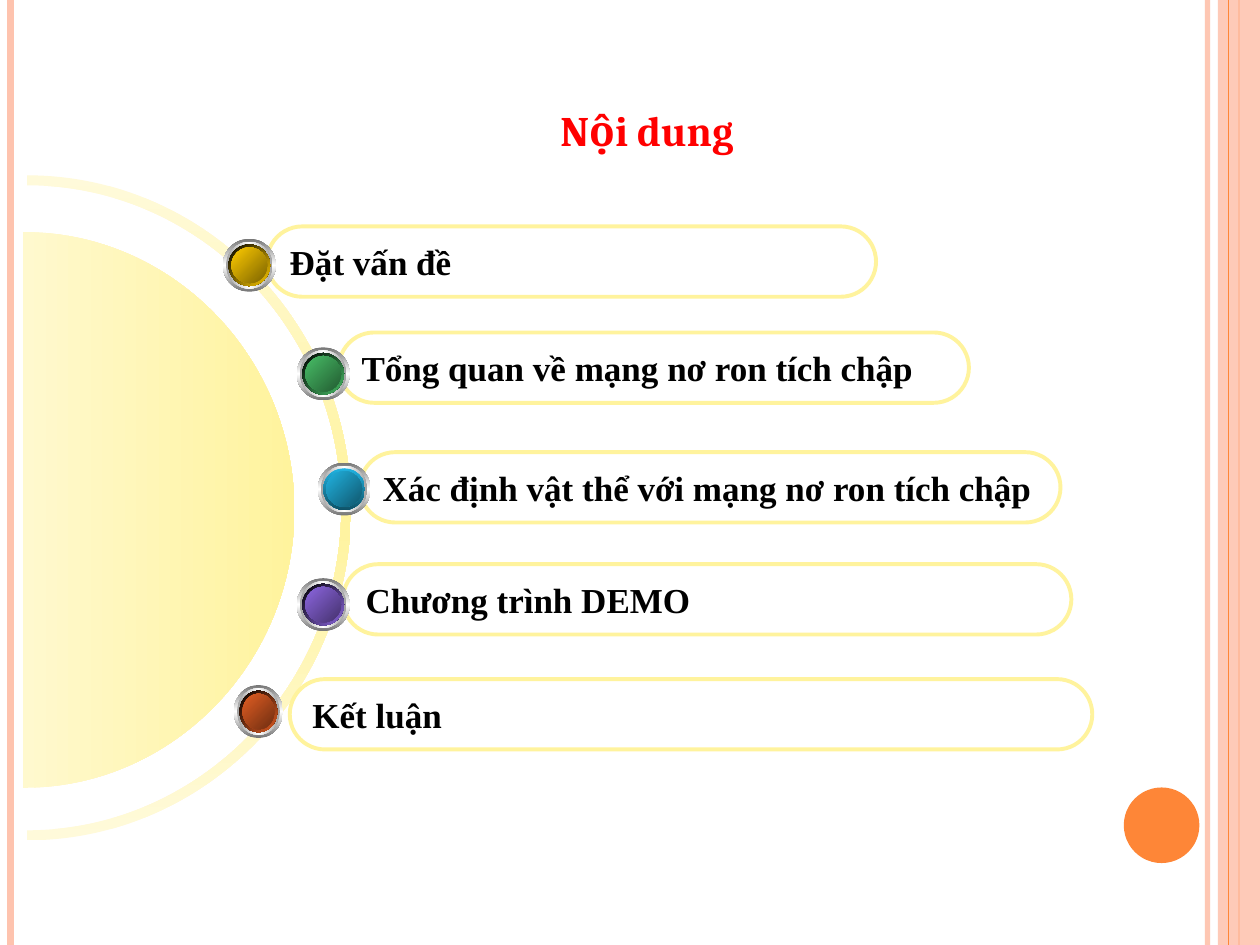
from lxml import etree
from pptx import Presentation
from pptx.dml.color import RGBColor
from pptx.enum import shapes, text
from pptx.oxml import ns
from pptx.util import Pt

PEACH = RGBColor(0xFE, 0xC3, 0xAE)
ORANGE = RGBColor(0xFE, 0x86, 0x37)
RED = RGBColor(0xFF, 0x00, 0x00)
BLACK = RGBColor(0x00, 0x00, 0x00)
WHITE = RGBColor(0xFF, 0xFF, 0xFF)
YELLOW = RGBColor(0xFF, 0xF3, 0x9D)
PALE_YELLOW = RGBColor(0xFF, 0xFA, 0xDA)
SOFT_YELLOW = RGBColor(0xFF, 0xF9, 0xCE)
DARK_GREY = RGBColor(0x76, 0x76, 0x76)
GREY = RGBColor(0xA2, 0xA2, 0xA2)
GOLD, DARK_GOLD = RGBColor(0xFF, 0xCC, 0x00), RGBColor(0x7C, 0x63, 0x00)
GREEN, DARK_GREEN = RGBColor(0x48, 0xBE, 0x67), RGBColor(0x23, 0x5C, 0x32)
BLUE, DARK_BLUE = RGBColor(0x21, 0xB3, 0xE1), RGBColor(0x10, 0x57, 0x6D)
DEEP_BLUE = RGBColor(0x0F, 0x53, 0x68)
PURPLE, DARK_PURPLE = RGBColor(0x8D, 0x67, 0xE1), RGBColor(0x45, 0x32, 0x6D)
RUST, DARK_RUST = RGBColor(0xE3, 0x5E, 0x23), RGBColor(0x6E, 0x2E, 0x11)

SLIDE_WIDTH, SLIDE_HEIGHT = 720, 540
PILL_HEIGHT = 40.2
BEAD_HEIGHT = 30.2
CURVE = 0.55  # control handle length for a quarter ellipse

# Text, pill (left, top, width), bead (left, top, width), rim and face gradients
TOPICS = [
    ("Đặt vấn đề", (152.6, 129.4, 348), (127.4, 136.5, 30.2),
     (BLACK, GOLD), 45, (GOLD, DARK_GOLD)),
    ("Tổng quan về mạng nơ ron tích chập", (193.7, 190, 360), (169.6, 198.5, 30.2),
     (BLACK, GREEN), 45, (GREEN, DARK_GREEN)),
    ("Xác định vật thể với mạng nơ ron tích chập", (205.7, 258.4, 400.3),
     (181.6, 264.4, 30.2), (BLUE, DEEP_BLUE), 90, (BLUE, DARK_BLUE)),
    ("Chương trình DEMO", (196, 322.4, 416.2), (169.6, 330.4, 30.2),
     (BLACK, PURPLE), 45, (PURPLE, DARK_PURPLE)),
    ("Kết luận", (165.6, 388.1, 458.6), (133.7, 391.5, 28),
     (BLACK, RUST), 45, (RUST, DARK_RUST)),
]


def set_alpha(properties, percent):
    """Make the first colour inside the properties partly transparent."""
    color = properties.find(".//" + ns.qn("a:srgbClr"))
    etree.SubElement(color, ns.qn("a:alpha")).set("val", str(percent * 1000))


def set_gradient(shape, colors, angle):
    """Fill with evenly spaced colours, turned clockwise by angle degrees."""
    shape.shadow.inherit = False
    shape.line.fill.background()
    shape.fill.gradient()
    shape.fill.gradient_angle = -angle % 360
    stops = shape.element.spPr.find(".//" + ns.qn("a:gsLst"))
    for stop in list(stops):
        stops.remove(stop)
    for index, color in enumerate(colors):
        stop = etree.SubElement(stops, ns.qn("a:gs"))
        stop.set("pos", str(index * 100000 // (len(colors) - 1)))
        etree.SubElement(stop, ns.qn("a:srgbClr")).set("val", str(color))


def add_preset(parent, kind, left, top, width, height):
    """Add a preset shape without shadow."""
    shape = parent.add_shape(kind, Pt(left), Pt(top), Pt(width), Pt(height))
    shape.shadow.inherit = False
    return shape


def add_solid(slide, kind, bounds, color, alpha=100):
    """Add a preset shape with a plain fill and no outline."""
    shape = add_preset(slide.shapes, kind, *bounds)
    shape.fill.solid()
    shape.fill.fore_color.rgb = color
    shape.line.fill.background()
    if alpha < 100:
        set_alpha(shape.element.spPr, alpha)


def add_stripe(slide, x, color, width, alpha=100):
    """Add a vertical line over the full slide height."""
    stripe = slide.shapes.add_connector(
        shapes.MSO_CONNECTOR.STRAIGHT, Pt(x), Pt(0), Pt(x), Pt(SLIDE_HEIGHT))
    stripe.line.color.rgb = color
    stripe.line.width = Pt(width)
    properties = stripe.element.spPr
    if alpha < 100:
        set_alpha(properties, alpha)
    etree.SubElement(properties, ns.qn("a:effectLst"))


def half_ellipse(center_x, center_y, radius_x, radius_y):
    """Return start and control points of a right half ellipse, top to bottom."""
    units = [(0, -1), (CURVE, -1), (1, -CURVE), (1, 0), (1, CURVE), (CURVE, 1), (0, 1)]
    return [(Pt(center_x + radius_x * x), Pt(center_y + radius_y * y)) for x, y in units]


def add_curved_outline(slide, arcs, colors, angle):
    """Add a closed gradient outline of half ellipses joined by lines."""
    points = [point for arc in arcs for point in arc]
    builder = slide.shapes.build_freeform(*points[0])
    builder.add_line_segments(points[1:], close=True)
    shape = builder.convert_to_shape()
    segments = list(shape.element.spPr.iter(ns.qn("a:lnTo")))
    for arc_start in range(0, len(points), 7):
        for first in (arc_start, arc_start + 3):
            curve = etree.Element(ns.qn("a:cubicBezTo"))
            segments[first].addprevious(curve)
            for segment in segments[first:first + 3]:
                curve.append(segment[0])
                segment.getparent().remove(segment)
    set_gradient(shape, colors, angle)


def format_text(frame, words, font, size, color):
    """Write one bold, unwrapped paragraph and return it."""
    frame.text = words
    frame.word_wrap = False
    paragraph = frame.paragraphs[0]
    for run in paragraph.runs:
        run.font.name = font
        run.font.size = Pt(size)
        run.font.bold = True
        run.font.color.rgb = color
    return paragraph


def add_title(slide):
    """Add the red heading."""
    box = slide.shapes.add_textbox(Pt(313.2), Pt(56.2), Pt(126.7), Pt(36))
    format_text(box.text_frame, "Nội dung", "Cambria", 24, RED)
    box.text_frame.auto_size = text.MSO_AUTO_SIZE.SHAPE_TO_FIT_TEXT


def add_pill(slide, words, left, top, width):
    """Add a rounded outline with the topic text."""
    pill = add_preset(slide.shapes, shapes.MSO_SHAPE.ROUNDED_RECTANGLE,
                      left, top, width, PILL_HEIGHT)
    pill.adjustments[0] = 0.5
    pill.fill.background()
    pill.line.color.rgb = YELLOW
    pill.line.width = Pt(2.25)
    pill.text_frame.vertical_anchor = text.MSO_ANCHOR.MIDDLE
    paragraph = format_text(pill.text_frame, words, "Times New Roman", 20, BLACK)
    paragraph.alignment = text.PP_ALIGN.JUSTIFY


def add_bead(slide, left, top, width, rim, rim_angle, face):
    """Add a glossy bead from four nested ellipses."""
    bead = slide.shapes.add_group_shape()
    layers = [
        (0, (DARK_GREY, WHITE, DARK_GREY), 90),
        (1.8, (GREY, WHITE, GREY), 0),
        (3.2, rim, rim_angle),
        (4.9, face, 45),
    ]
    for inset, colors, angle in layers:
        ellipse = add_preset(bead.shapes, shapes.MSO_SHAPE.OVAL, left + inset, top + inset,
                             width - 2 * inset, BEAD_HEIGHT - 2 * inset)
        set_gradient(ellipse, colors, angle)


def add_frame(slide):
    """Add the side stripes, the right band and the corner disc."""
    add_stripe(slide, 690, PEACH, 3, 93)
    add_stripe(slide, 6, PEACH, 4.5)
    add_stripe(slide, 708, ORANGE, 1.5)
    add_solid(slide, shapes.MSO_SHAPE.RECTANGLE, (696, 0, 24, SLIDE_HEIGHT), PEACH, 87)
    add_stripe(slide, 702, ORANGE, 0.75)
    add_solid(slide, shapes.MSO_SHAPE.OVAL, (642.2, 450, 43.2, 43.2), ORANGE)


def main():
    """Build the contents slide."""
    presentation = Presentation()
    presentation.slide_width = Pt(SLIDE_WIDTH)
    presentation.slide_height = Pt(SLIDE_HEIGHT)
    slide = presentation.slides.add_slide(presentation.slide_layouts[6])
    add_frame(slide)
    add_title(slide)
    ring = [half_ellipse(15.5, 290.2, 185.1, 190),
            half_ellipse(15.5, 290.2, 179.6, 184.3)[::-1]]
    add_curved_outline(slide, ring, (PALE_YELLOW, YELLOW, PALE_YELLOW), 90)
    disc = [half_ellipse(13.2, 291.4, 155, 158.8)]
    add_curved_outline(slide, disc, (SOFT_YELLOW, YELLOW), 0)
    for words, pill, *_ in TOPICS:
        add_pill(slide, words, *pill)
    for _, _, bead, rim, rim_angle, face in TOPICS:
        add_bead(slide, *bead, rim, rim_angle, face)
    presentation.save("out.pptx")


main()
